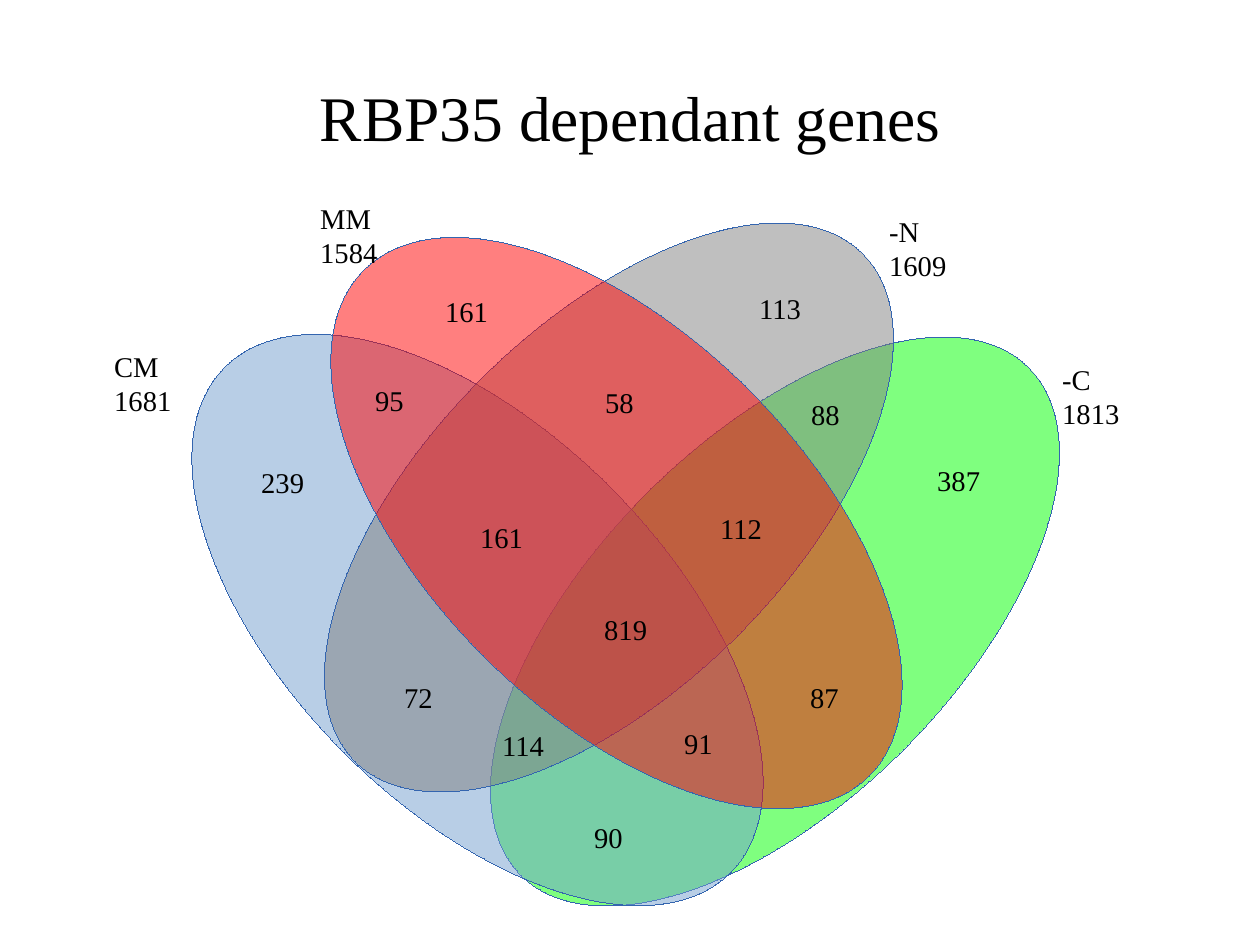
from dataclasses import dataclass

from lxml import etree
from pptx import Presentation
from pptx.dml.color import RGBColor
from pptx.enum.shapes import MSO_SHAPE
from pptx.enum.text import MSO_ANCHOR, MSO_AUTO_SIZE, PP_ALIGN
from pptx.oxml.ns import qn
from pptx.util import Emu, Pt

EMU_PER_PX = 8000  # 114.3 px to the inch
FONT = "Times New Roman"
BLACK, OUTLINE = "000000", "3465AF"
HAIRLINE = Emu(1)
OPACITY = 50
TITLE_ONLY = 5
ELLIPSE = MSO_SHAPE.OVAL
CENTER, LEFT = PP_ALIGN.CENTER, PP_ALIGN.LEFT
MIDDLE, TOP = MSO_ANCHOR.MIDDLE, MSO_ANCHOR.TOP
NO_FIT, GROW = MSO_AUTO_SIZE.NONE, MSO_AUTO_SIZE.SHAPE_TO_FIT_TEXT


@dataclass
class GeneSet:
    x: int
    y: int
    w: int
    h: int
    angle: int
    color: str


@dataclass
class Label:
    text: str
    x: int
    y: int
    w: int = 70
    h: int = 43


# Back to front: -C, CM, -N, MM
GENE_SETS = [
    GeneSet(416, 440, 718, 363, 315, "00FF00"),
    GeneSet(120, 432, 715, 376, 225, "729FCF"),
    GeneSet(250, 326, 718, 363, 315, "808080"),
    GeneSet(259, 335, 715, 376, 225, "FF0000"),
]

SET_TOTALS = [
    Label("-C\n1813", 1051, 356, 92, 75),
    Label("-N\n1609", 878, 208, 92, 75),
    Label("MM\n1584", 309, 195, 92, 75),
    Label("CM\n1681", 103, 343, 92, 75),
]

REGION_COUNTS = [
    Label("95", 364, 377),
    Label("72", 393, 674),
    Label("90", 583, 814),
    Label("58", 594, 379),
    Label("87", 799, 674),
    Label("88", 800, 391),
    Label("819", 593, 606),
    Label("161", 469, 514),
    Label("114", 491, 722),
    Label("91", 673, 720),
    Label("112", 709, 505),
    Label("239", 250, 459),
    Label("161", 434, 288, 80),
    Label("113", 748, 285, 75),
    Label("387", 926, 457, 81),
]


def px(n: int) -> Emu:
    return Emu(n * EMU_PER_PX)


def rgb(color: str) -> RGBColor:
    return RGBColor.from_string(color)


def write(tf, text: str, size: int, align, anchor, fit) -> None:
    tf.text = text
    tf.word_wrap = True
    tf.auto_size = fit
    tf.vertical_anchor = anchor
    for p in tf.paragraphs:
        p.alignment = align
        for r in p.runs:
            r.font.name = FONT
            r.font.size = Pt(size)
            r.font.color.rgb = rgb(BLACK)


def add_title(slide, text: str) -> None:
    title = slide.shapes.title
    title.left, title.top = px(63), px(38)
    title.width, title.height = px(1134), px(157)
    tf = title.text_frame
    tf.margin_left = tf.margin_right = tf.margin_top = tf.margin_bottom = 0
    write(tf, text, 40, CENTER, MIDDLE, NO_FIT)


def add_gene_set(slide, gs: GeneSet) -> None:
    sp = slide.shapes.add_shape(ELLIPSE, px(gs.x), px(gs.y), px(gs.w), px(gs.h))
    sp.rotation = gs.angle
    sp.shadow.inherit = False
    sp.fill.solid()
    sp.fill.fore_color.rgb = rgb(gs.color)
    fill_color = sp._element.spPr.find(qn("a:solidFill")).find(qn("a:srgbClr"))
    etree.SubElement(fill_color, qn("a:alpha"), val=str(OPACITY * 1000))
    sp.line.color.rgb = rgb(OUTLINE)
    sp.line.width = HAIRLINE


def add_label(slide, label: Label) -> None:
    box = slide.shapes.add_textbox(px(label.x), px(label.y), px(label.w), px(label.h))
    write(box.text_frame, label.text, 18, LEFT, TOP, GROW)


def main() -> None:
    prs = Presentation()
    prs.slide_width, prs.slide_height = px(1260), px(945)
    slide = prs.slides.add_slide(prs.slide_layouts[TITLE_ONLY])
    add_title(slide, "RBP35 dependant genes")

    # Venn diagram
    for gs in GENE_SETS:
        add_gene_set(slide, gs)

    # Set totals and counts per region
    for label in SET_TOTALS + REGION_COUNTS:
        add_label(slide, label)

    prs.save("out.pptx")


if __name__ == "__main__":
    main()
